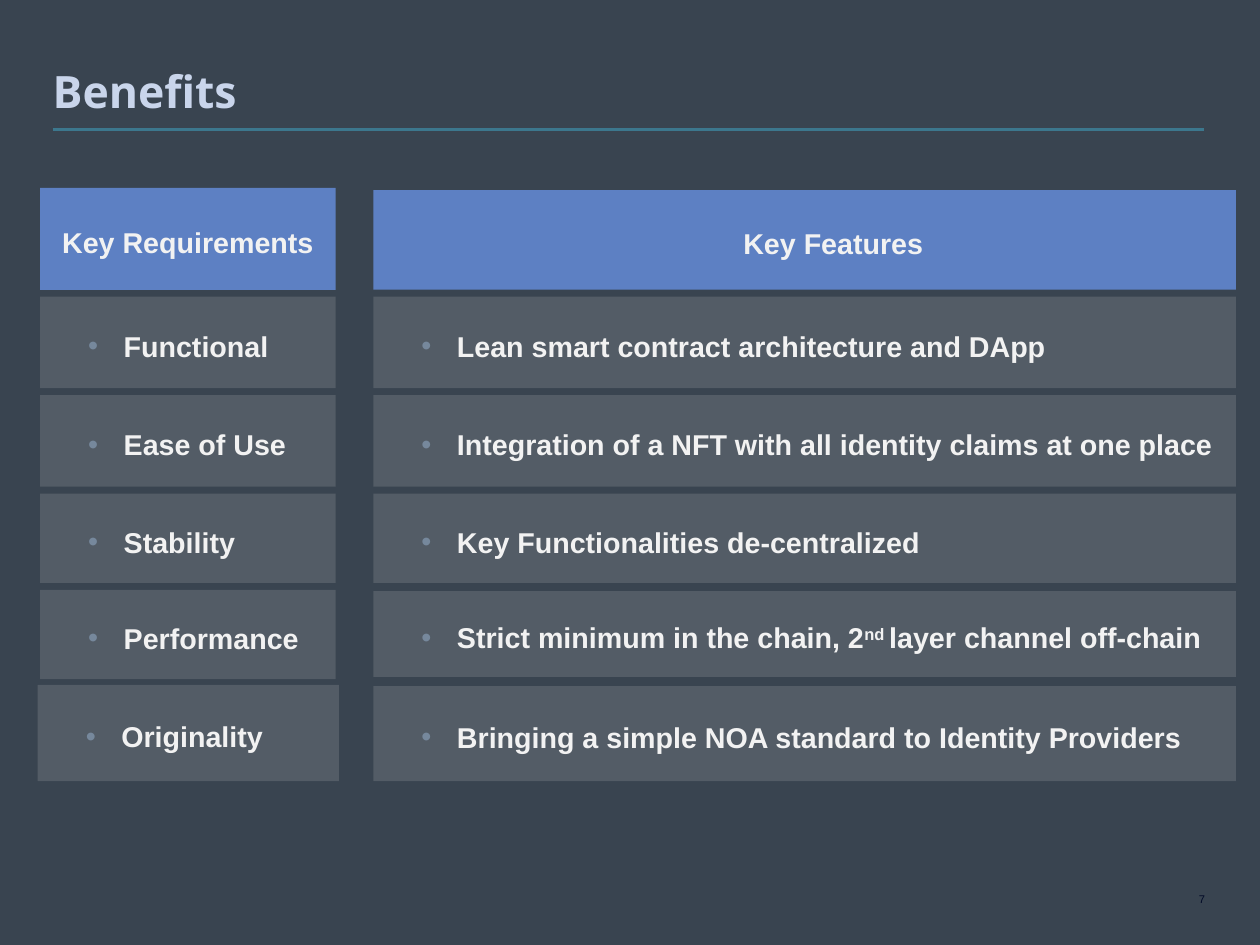
from dataclasses import dataclass
from itertools import accumulate

from lxml import etree
from pptx import Presentation
from pptx.dml.color import RGBColor
from pptx.enum.shapes import MSO_CONNECTOR, MSO_SHAPE
from pptx.enum.text import MSO_ANCHOR, PP_ALIGN
from pptx.oxml.ns import qn
from pptx.util import Inches, Pt

RECT, LINE = MSO_SHAPE.RECTANGLE, MSO_CONNECTOR.STRAIGHT
MIDDLE, BOTTOM = MSO_ANCHOR.MIDDLE, MSO_ANCHOR.BOTTOM
LEFT, CENTER, RIGHT = PP_ALIGN.LEFT, PP_ALIGN.CENTER, PP_ALIGN.RIGHT


@dataclass(frozen=True)
class Theme:
    back: str = "394450"
    rule: str = "3C778D"
    title: str = "C9D5EB"
    head: str = "5D80C3"
    cell: str = "BEBEBE"
    text: str = "F2F2F2"
    bullet: str = "76889C"
    number: str = "010A27"
    display: str = "Open Sans"
    body: str = "Arial"
    big: int = 28
    mid: int = 18
    tiny: int = 7


THEME = Theme()
WIDE, HIGH = 11, 8.25
GAP = 0.06
ROWS = (0.89, 0.8, 0.8, 0.78, 0.78, 0.83)
COLUMNS = (
    (0.35, 2.58, "Key Requirements",
     ("Functional", "Ease of Use", "Stability", "Performance", "Originality")),
    (3.26, 7.53, "\tKey Features",
     ("Lean smart contract architecture and DApp",
      "Integration of a NFT with all identity claims at one place",
      "Key Functionalities de-centralized",
      ("Strict minimum in the chain, 2", "nd ", "layer channel off-chain"),
      "Bringing a simple NOA standard to Identity Providers")),
)
# Insets (left, top, right, bottom) of cells that leave the grid
INSETS = {(0, 5): (-0.02, -0.01, -0.03, 0), (1, 0): (0, 0.02, 0, 0),
          (1, 4): (0, 0.01, 0, 0.02)}


def color(code):
    return RGBColor.from_string(code)


def write(shape, text, *, size=THEME.mid, tone=THEME.text, font=THEME.body,
          bold=True, align=LEFT, anchor=MIDDLE, space=1.0, pad=0):
    """Fill the shape with one paragraph; in a tuple every second part is raised."""
    frame = shape.text_frame
    frame.word_wrap = True
    frame.vertical_anchor = anchor
    frame.margin_left = frame.margin_right = Inches(pad)
    frame.margin_top = frame.margin_bottom = Inches(pad)
    para = frame.paragraphs[0]
    para.alignment, para.line_spacing = align, space
    parts = (text,) if isinstance(text, str) else text
    for i, part in enumerate(parts):
        run = para.add_run()
        run.text = part
        run.font.size, run.font.name, run.font.bold = Pt(size), font, bold
        run.font.color.rgb = color(tone)
        if i % 2:
            run.font._element.set("baseline", "30000")
    return para


def add_bullet(para):
    para.level = 1
    para.space_before = Pt(7.2)
    props = para._p.get_or_add_pPr()
    props.set("marL", str(Inches(0.73)))
    props.set("indent", str(Inches(-0.31)))
    tint = etree.SubElement(props, qn("a:buClr"))
    etree.SubElement(tint, qn("a:srgbClr"), val=THEME.bullet)
    etree.SubElement(props, qn("a:buFont"), typeface="Arial")
    etree.SubElement(props, qn("a:buChar"), char="•")


def add_text(slide, box, text, **style):
    return write(slide.shapes.add_textbox(*map(Inches, box)), text, **style)


def add_cell(slide, box, fill, alpha=100):
    cell = slide.shapes.add_shape(RECT, *map(Inches, box))
    cell.shadow.inherit = False
    cell.line.fill.background()
    cell.fill.solid()
    cell.fill.fore_color.rgb = color(fill)
    if alpha < 100:
        tint = cell._element.spPr.find(".//" + qn("a:srgbClr"))
        etree.SubElement(tint, qn("a:alpha"), val=str(alpha * 1000))
    return cell


def add_title(slide, box, text):
    left, top, wide, high = box
    rule = slide.shapes.add_connector(
        LINE, *map(Inches, (left, top + high, left + wide, top + high)))
    rule.line.color.rgb = color(THEME.rule)
    rule.line.width = Pt(2)
    etree.SubElement(rule._element.spPr, qn("a:effectLst"))
    add_text(slide, (left, top, wide, high - 0.1), text, size=THEME.big,
             tone=THEME.title, font=THEME.display, anchor=BOTTOM, space=0.85)


def add_column(slide, box, col, head, items):
    left, top, wide, _ = box
    tops = accumulate((high + GAP for high in ROWS), initial=top)
    for row, (text, y, high) in enumerate(zip((head, *items), tops, ROWS)):
        l, t, r, b = INSETS.get((col, row), (0, 0, 0, 0))
        place = (left + l, y + t, wide - l - r, high - t - b)
        if row == 0:
            cell = add_cell(slide, place, THEME.head)
            write(cell, text, align=CENTER, space=1.2, pad=0.04)
        else:
            cell = add_cell(slide, place, THEME.cell, alpha=20)
            add_bullet(write(cell, text, space=1.2))


def add_number(slide, box, text):
    add_text(slide, box, text, size=THEME.tiny, tone=THEME.number,
             bold=False, align=RIGHT, anchor=BOTTOM)


def main():
    deck = Presentation()
    deck.slide_width, deck.slide_height = Inches(WIDE), Inches(HIGH)
    slide = deck.slides.add_slide(deck.slide_layouts[6])
    slide.background.fill.solid()
    slide.background.fill.fore_color.rgb = color(THEME.back)

    add_title(slide, (0.46, 0, 10.05, 1.13), "Benefits")
    depth = sum(ROWS) + GAP * (len(ROWS) - 1)
    for col, (left, wide, head, items) in enumerate(COLUMNS):
        add_column(slide, (left, 1.64, wide, depth), col, head, items)
    add_number(slide, (10.07, 7.5, 0.45, 0.41), "7")
    deck.save("out.pptx")


if __name__ == "__main__":
    main()
